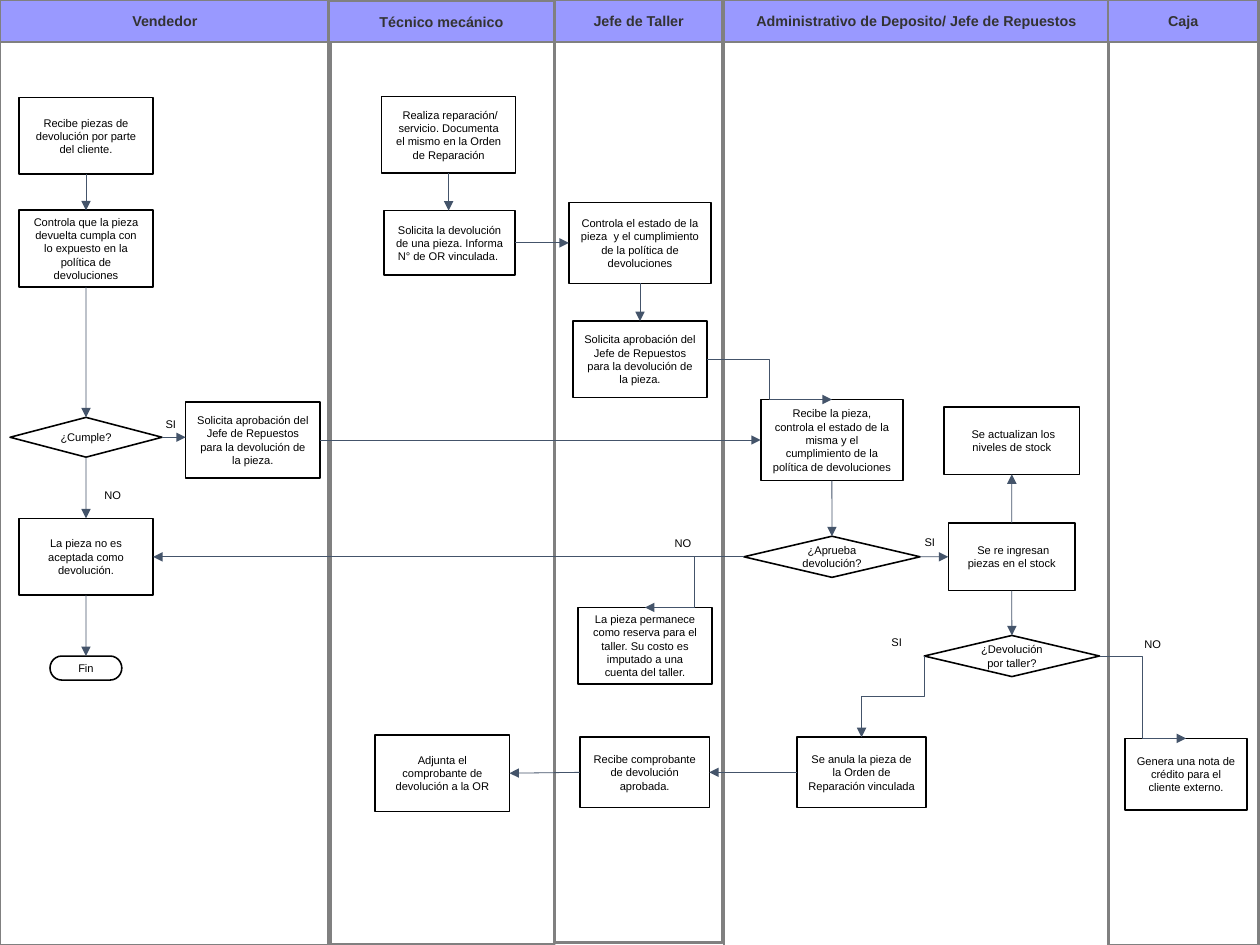
from typing import Any, NamedTuple

from lxml import etree
from pptx import Presentation
from pptx.dml.color import RGBColor
from pptx.enum.shapes import MSO_CONNECTOR, MSO_SHAPE
from pptx.enum.text import MSO_ANCHOR, PP_ALIGN
from pptx.oxml.ns import qn
from pptx.util import Mm, Pt

BOX, DIAMOND, END = MSO_SHAPE.RECTANGLE, MSO_SHAPE.DIAMOND, MSO_SHAPE.FLOWCHART_TERMINATOR
STRAIGHT, ELBOW = MSO_CONNECTOR.STRAIGHT, MSO_CONNECTOR.ELBOW
CENTER, MIDDLE, TOP = PP_ALIGN.CENTER, MSO_ANCHOR.MIDDLE, MSO_ANCHOR.TOP

LILAC = RGBColor(0x99, 0x99, 0xFF)
GRAY = RGBColor(0x80, 0x80, 0x80)
CHARCOAL = RGBColor(0x33, 0x33, 0x33)
BLACK = RGBColor(0, 0, 0)
WHITE = RGBColor(0xFF, 0xFF, 0xFF)
SLATE = RGBColor(0x44, 0x54, 0x6A)

FONT = "Arial"
WIDTH, HEIGHT = Mm(280), Mm(210)
COLUMNS, ROWS = 110.24, 82.68
HEADER_BOTTOM = 3.67

# Connection sites, numbered as on the preset shapes
N, W, S, E = range(4)
SITE_SHARES = {N: (0.5, 0), W: (0, 0.5), S: (0.5, 1), E: (1, 0.5)}
# Routes: between two sites, square to the first side, bent sideways, bent downwards
DIRECT, SQUARE, BENT, BENT_DOWN = range(4)


class Lane(NamedTuple):
    title: str
    left: float
    right: float
    bottom: float
    top: float = 0


class Step(NamedTuple):
    key: str
    text: str
    col: float
    row: float
    cols: float = 11.75
    rows: float = 6.7
    kind: Any = BOX


class Arrow(NamedTuple):
    start: str
    start_site: int
    end: str
    end_site: int
    route: int = DIRECT


class Label(NamedTuple):
    text: str
    col: float
    row: float


LANES = [
    Lane("Vendedor", -0.05, 28.9, 82.7),
    Lane("Técnico mecánico", 28.75, 48.5, 82.6, 0.1),
    Lane("Jefe de Taller", 48.55, 63.2, 82.5),
    Lane("Administrativo de Deposito/ Jefe de Repuestos", 63.35, 97, 82.8),
    Lane("Caja", 96.95, 110.1, 82.7),
]

APPROVAL = "Solicita aprobación del Jefe de Repuestos para la devolución de la pieza."
STEPS = [
    Step("recibe", "Recibe piezas de devolución por parte del cliente.", 1.65, 8.55),
    Step("controla", "Controla que la pieza devuelta cumpla con lo expuesto en la política de devoluciones", 1.65, 18.4),
    Step("cumple", "¿Cumple?", 0.88, 36.52, 13.3, 3.48, DIAMOND),
    Step("rechazo", "La pieza no es aceptada como devolución.", 1.65, 45.35),
    Step("fin", "Fin", 4.38, 57.4, 6.28, 2.1, END),
    Step("pide_vendedor", APPROVAL, 16.25, 35.15),
    Step("repara", " Realiza reparación/ servicio. Documenta el mismo en la Orden de Reparación", 33.38, 8.45),
    Step("solicita", "Solicita la devolución de una pieza. Informa N° de OR vinculada. ", 33.58, 18.43, 11.5, 5.64),
    Step("adjunta", "Adjunta el comprobante de devolución a la OR", 32.83, 64.3),
    Step("estado", "Controla el estado de la pieza  y el cumplimiento de la política de devoluciones", 49.77, 17.7, 12.45, 7.1),
    Step("pide_taller", APPROVAL, 50.12, 28.1),
    Step("reserva", "La pieza permanece como reserva para el taller. Su costo es imputado a una cuenta del taller.", 50.56, 53.15),
    Step("comprobante", "Recibe comprobante de devolución aprobada.", 50.74, 64.5, 11.32, 6.15),
    Step("revisa", "Recibe la pieza, controla el estado de la misma y el cumplimiento de la política de devoluciones", 66.56, 34.95, 12.45, 7.1),
    Step("aprueba", "¿Aprueba devolución?", 65.08, 46.92, 15.42, 3.6, DIAMOND),
    Step("stock", " Se actualizan los niveles de stock", 82.6, 35.6, 11.85, 5.9),
    Step("reingreso", " Se re ingresan piezas en el stock", 82.97, 45.75, 11.1, 5.93),
    Step("por_taller", "¿Devolución por taller?", 80.87, 55.6, 15.33, 3.6, DIAMOND),
    Step("anula", "Se anula la pieza de la Orden de Reparación vinculada", 69.72, 64.5, 11.32, 6.15),
    Step("credito", "Genera una nota de crédito para el cliente externo.", 98.42, 64.6, 10.7, 6.25),
]

ARROWS = [
    Arrow("recibe", S, "controla", N), Arrow("controla", S, "cumple", N),
    Arrow("cumple", S, "rechazo", N), Arrow("cumple", E, "pide_vendedor", W, SQUARE),
    Arrow("rechazo", S, "fin", N), Arrow("pide_vendedor", E, "revisa", W),
    Arrow("repara", S, "solicita", N, SQUARE), Arrow("solicita", E, "estado", W),
    Arrow("estado", S, "pide_taller", N), Arrow("pide_taller", E, "revisa", N, BENT),
    Arrow("revisa", S, "aprueba", N), Arrow("aprueba", W, "rechazo", E, SQUARE),
    Arrow("aprueba", W, "reserva", N, BENT), Arrow("aprueba", E, "reingreso", W),
    Arrow("reingreso", N, "stock", S), Arrow("reingreso", S, "por_taller", N),
    Arrow("por_taller", E, "credito", N, BENT), Arrow("por_taller", W, "anula", N, BENT_DOWN),
    Arrow("anula", W, "comprobante", E), Arrow("comprobante", W, "adjunta", E),
]

LABELS = [Label("SI", 13.4, 36), Label("NO", 7.8, 42.2), Label("NO", 57.7, 46.4),
          Label("SI", 79.8, 46.3), Label("SI", 76.9, 55.1), Label("NO", 98.8, 55.3)]


def x(col: float) -> int:
    return round(WIDTH * col / COLUMNS)


def y(row: float) -> int:
    return round(HEIGHT * row / ROWS)


def write(sp: Any, text: str, *, size: float = 7, color: RGBColor = BLACK, bold: bool = False,
          anchor: Any = MIDDLE, side: float = 1, edge: float = 0.5) -> None:
    """Put centred text in a shape; side and edge are margins in grid cells."""
    tf = sp.text_frame
    tf.word_wrap, tf.vertical_anchor = True, anchor
    tf.margin_left = tf.margin_right = x(side)
    tf.margin_top = tf.margin_bottom = y(edge)
    p = tf.paragraphs[0]
    p.alignment = CENTER
    r = p.add_run()
    r.text = text
    r.font.name, r.font.size, r.font.bold = FONT, Pt(size), bold
    r.font.color.rgb = color


def add_block(shapes: Any, kind: Any, col: float, row: float, cols: float, rows: float,
              line: RGBColor, weight: float, fill: RGBColor | None = None) -> Any:
    sp = shapes.add_shape(kind, x(col), y(row), x(cols), y(rows))
    sp.shadow.inherit = False
    if fill is None:
        sp.fill.background()
    else:
        sp.fill.solid()
        sp.fill.fore_color.rgb = fill
    sp.line.color.rgb, sp.line.width = line, Pt(weight)
    return sp


def add_lane(shapes: Any, lane: Lane) -> None:
    cols = lane.right - lane.left
    add_block(shapes, BOX, lane.left, 0, cols, lane.bottom, GRAY, 1.7)
    header = add_block(shapes, BOX, lane.left, lane.top, cols, HEADER_BOTTOM - lane.top, GRAY, 1.7, LILAC)
    write(header, lane.title, size=9, color=CHARCOAL, bold=True)


def add_step(shapes: Any, step: Step) -> Any:
    sp = add_block(shapes, step.kind, step.col, step.row, step.cols, step.rows, BLACK, 1, WHITE)
    side, edge = (1, 0.5) if step.kind == BOX else (0.5, 0)
    write(sp, step.text, side=side, edge=edge)
    return sp


def site_point(sp: Any, site: int) -> tuple[int, int]:
    across, down = SITE_SHARES[site]
    return round(sp.left + sp.width * across), round(sp.top + sp.height * down)


def add_arrow(shapes: Any, arrow: Arrow, blocks: dict[str, Any]) -> None:
    start, end = blocks[arrow.start], blocks[arrow.end]
    (x1, y1), (x2, y2) = site_point(start, arrow.start_site), site_point(end, arrow.end_site)
    if arrow.route == SQUARE:
        x2, y2 = (x1, y2) if arrow.start_site in (N, S) else (x2, y1)
    elif arrow.route == BENT_DOWN:  # the box before its quarter turn
        mid_x, mid_y, half_w, half_h = (x1 + x2) // 2, (y1 + y2) // 2, (y2 - y1) // 2, (x1 - x2) // 2
        x1, y1, x2, y2 = mid_x - half_w, mid_y - half_h, mid_x + half_w, mid_y + half_h
    cxn = shapes.add_connector(ELBOW if arrow.route in (BENT, BENT_DOWN) else STRAIGHT, x1, y1, x2, y2)
    if arrow.route == DIRECT:
        cxn.begin_connect(start, arrow.start_site)
        cxn.end_connect(end, arrow.end_site)
    cxn.line.color.rgb, cxn.line.width = SLATE, Pt(0.5)
    sp_pr = cxn._element.spPr
    if arrow.route == BENT_DOWN:
        sp_pr.find(qn("a:xfrm")).set("rot", "5400000")
    etree.SubElement(sp_pr.find(qn("a:ln")), qn("a:tailEnd"), type="triangle")
    etree.SubElement(sp_pr, qn("a:effectLst"))


prs = Presentation()
prs.slide_width, prs.slide_height = WIDTH, HEIGHT
slide_shapes = prs.slides.add_slide(prs.slide_layouts[6]).shapes
for swimlane in LANES:
    add_lane(slide_shapes, swimlane)
step_blocks = {step.key: add_step(slide_shapes, step) for step in STEPS}
for flow in ARROWS:
    add_arrow(slide_shapes, flow, step_blocks)
for label in LABELS:
    label_cols = 3.1 if label.text == "SI" else 4.1
    tb = slide_shapes.add_textbox(x(label.col), y(label.row), x(label_cols), y(2.8))
    write(tb, label.text, anchor=TOP)
prs.save("out.pptx")
